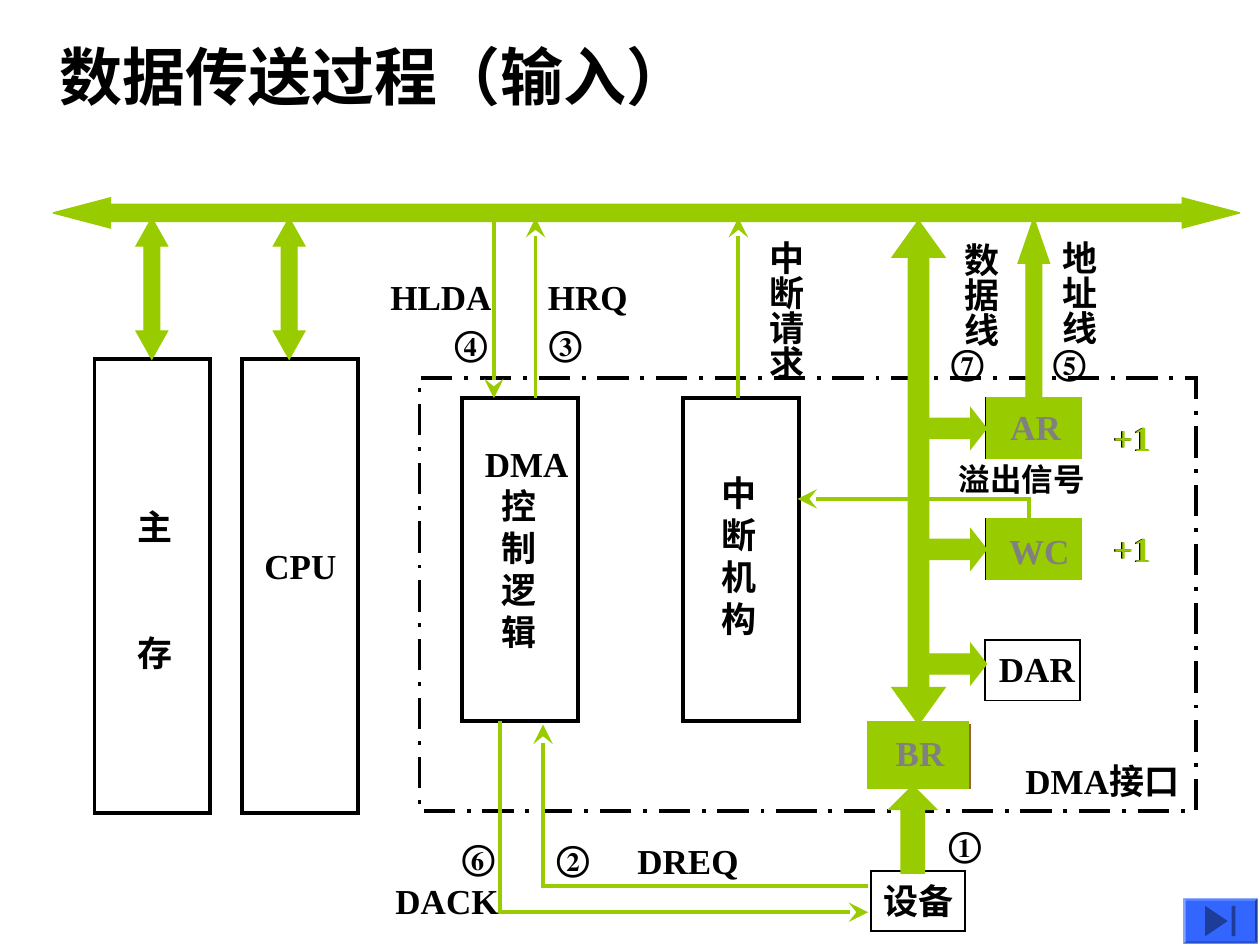
from lxml import etree
from pptx import Presentation
from pptx.dml.color import RGBColor
from pptx.enum import dml, shapes, text
from pptx.oxml import ns
from pptx.util import Inches, Pt

COLORS = {"ink": "000000", "bus": "99CC00", "muted": "808080",
          "shade": "996633", "button": "3366FF"}
FONT = "Times New Roman"
PRESET = shapes.MSO_SHAPE


def color(name):
    return RGBColor.from_string(COLORS[name])


class Diagram:
    """Style and current slide of a bus diagram; all lengths are in inches."""

    def __init__(self, slide):
        self.slide = slide

    def format_text(self, frame, size=20, ink="ink"):
        for paragraph in frame.paragraphs:
            for run in paragraph.runs:
                run.font.size = Pt(size)
                run.font.name = FONT
                run.font.bold = True
                run.font.color.rgb = color(ink)

    def title(self, words, left, top, width, height):
        shape = self.slide.shapes.title
        shape.left, shape.top = Inches(left), Inches(top)
        shape.width, shape.height = Inches(width), Inches(height)
        frame = shape.text_frame
        frame.text = words
        frame.vertical_anchor = text.MSO_ANCHOR.TOP
        frame.paragraphs[0].alignment = text.PP_ALIGN.LEFT
        self.format_text(frame, 36)

    def label(self, words, left, top, width, height=0.44, size=20, ink="ink"):
        """Text box without right inset, so that tight words stay on one line."""
        box = self.slide.shapes.add_textbox(
            Inches(left), Inches(top), Inches(width), Inches(height))
        frame = box.text_frame
        frame.text = words
        frame.word_wrap = True
        frame.auto_size = text.MSO_AUTO_SIZE.NONE
        frame.margin_right = 0
        self.format_text(frame, size, ink)
        return frame

    def vertical_label(self, words, left, top, height):
        frame = self.label(words, left, top, 0.53, height)
        frame.margin_left = frame.margin_right = Inches(0.05)
        frame.margin_top, frame.margin_bottom = Inches(0.05), 0
        box_properties = frame._txBody.find(ns.qn("a:bodyPr"))
        box_properties.set("vert", "eaVert")

    def style_line(self, shape, ink, weight):
        """Coloured line with sharp corners; returns its XML element."""
        shape.line.color.rgb = color(ink)
        shape.line.width = Pt(weight)
        line = shape.element.spPr.find(ns.qn("a:ln"))
        etree.SubElement(line, ns.qn("a:miter"), lim="800000")
        return line

    def shape(self, kind, left, top, width, height, fill=None, line=None,
              weight=0.75, adjust=()):
        shape = self.slide.shapes.add_shape(
            kind, Inches(left), Inches(top), Inches(width), Inches(height))
        shape.shadow.inherit = False
        for index, value in enumerate(adjust):
            shape.adjustments[index] = value
        if len(adjust) > 1:  # the library names both guides of some arrows adj1
            guides = shape.element.spPr.iter(ns.qn("a:gd"))
            for number, guide in enumerate(guides, 1):
                guide.set("name", f"adj{number}")
        if fill:
            shape.fill.solid()
            shape.fill.fore_color.rgb = color(fill)
        else:
            shape.fill.background()
        if line:
            self.style_line(shape, line, weight)
        else:
            shape.line.fill.background()
        return shape

    def outline(self, left, top, width, height, weight=2.25):
        return self.shape(PRESET.RECTANGLE, left, top, width, height,
                          line="ink", weight=weight)

    def block(self, kind, left, top, width, height, adjust=(), weight=0.75):
        """Solid shape in the bus colour."""
        self.shape(kind, left, top, width, height, "bus", "bus", weight, adjust)

    def finish_signal(self, shape):
        """Give a signal line its colour, weight and arrowhead."""
        line = self.style_line(shape, "bus", 2.25)
        etree.SubElement(line, ns.qn("a:tailEnd"), type="stealth", w="lg", len="lg")

    def signal(self, x, start, end):
        line = self.slide.shapes.add_connector(
            shapes.MSO_CONNECTOR.STRAIGHT,
            Inches(x), Inches(start), Inches(x), Inches(end))
        self.finish_signal(line)
        etree.SubElement(line.element.spPr, ns.qn("a:effectLst"))

    def bent_signal(self, *points):
        start, *rest = [(Inches(x), Inches(y)) for x, y in points]
        builder = self.slide.shapes.build_freeform(*start)
        builder.add_line_segments(rest, close=False)
        shape = builder.convert_to_shape()
        shape.shadow.inherit = False
        shape.fill.background()
        self.finish_signal(shape)


def draw_units(diagram):
    diagram.label("设备", 6.91, 6.93, 0.75)
    diagram.outline(6.91, 6.91, 0.75, 0.48, 1)

    logic = diagram.label("DMA\n控\n制\n逻\n辑", 3.75, 3.46, 0.86, 1.77)
    for paragraph in logic.paragraphs[1:]:
        paragraph._p.get_or_add_pPr().set("marL", str(Inches(0.13)))
    diagram.label("中\n断\n机\n构", 5.63, 3.69, 0.48, 1.44)
    for left in (3.67, 5.42):
        diagram.outline(left, 3.16, 0.92, 2.56)

    for top, weight in ((3.16, 0.75), (4.12, 0.75), (5.08, 1)):
        diagram.outline(7.82, top, 0.75, 0.48, weight)
    diagram.label("DAR", 7.83, 5.09, 0.8)

    interface = diagram.outline(3.33, 3, 6.16, 3.44)
    interface.line.dash_style = dml.MSO_LINE.LONG_DASH_DOT
    diagram.label("DMA接口", 8.04, 5.98, 1.49)

    memory = diagram.label("主\n存", 0.99, 3.96, 0.48, 1.44)
    memory.paragraphs[1].space_before = Pt(48)
    diagram.label("CPU", 2, 4.27, 0.77)
    for left in (0.75, 1.92):
        diagram.outline(left, 2.85, 0.92, 3.6)


def draw_buses(diagram):
    diagram.block(PRESET.LEFT_RIGHT_ARROW, 0.42, 1.57, 9.42, 0.24, (0.568, 1.9))
    for top in (3.24, 4.2, 5.11):
        diagram.block(PRESET.RIGHT_ARROW, 7.33, top, 0.5, 0.32, (0.5, 0.391))
    for left in (1.08, 2.17):
        diagram.block(PRESET.UP_DOWN_ARROW, left, 1.73, 0.25, 1.12, (0.5, 0.892))
    diagram.block(PRESET.UP_DOWN_ARROW, 7.08, 1.75, 0.42, 4, (0.383, 0.696))
    diagram.block(PRESET.UP_ARROW, 8.08, 1.73, 0.25, 1.44, (0.5, 1.439))
    diagram.block(PRESET.UP_ARROW, 7.08, 6.25, 0.33, 0.67, (0.5, 0.5), 2.25)


def draw_signals(diagram):
    diagram.bent_signal((6.89, 7.03), (4.31, 7.03), (4.31, 5.75))
    diagram.bent_signal((3.97, 5.72), (3.97, 7.24), (6.89, 7.24))
    diagram.bent_signal((8.17, 4.12), (8.17, 3.96), (6.33, 3.96))
    for x, start, end in ((4.25, 3.16, 1.73), (3.92, 1.73, 3.16),
                          (5.86, 3.16, 1.73)):
        diagram.signal(x, start, end)

    for name, left, top, width in (("DREQ", 4.96, 6.61, 1), ("HRQ", 4.25, 2.14, 0.83),
                                   ("HLDA", 3, 2.14, 1), ("DACK", 3.04, 6.93, 1.02)):
        diagram.label(name, left, top, width)
    diagram.label("溢出信号", 7.51, 3.6, 1.2, 0.4, 18)
    for name, left, top, height in (("地址线", 8.25, 1.81, 0.94),
                                    ("数据线", 7.47, 1.83, 0.94),
                                    ("中断请求", 5.92, 1.81, 1.22)):
        diagram.vertical_label(name, left, top, height)
    for step, left, top in (("①", 7.43, 6.48), ("②", 4.32, 6.59), ("③", 4.26, 2.5),
                            ("④", 3.51, 2.5), ("⑤", 8.26, 2.65), ("⑥", 3.57, 6.58),
                            ("⑦", 7.45, 2.65)):
        diagram.label(step, left, top, 0.46)


def draw_active_registers(diagram):
    for name, left, top, width, block_top, count_top in (
            ("AR", 7.92, 3.17, 0.6, 3.16, 3.26), ("WC", 7.91, 4.15, 0.68, 4.12, 4.14)):
        diagram.block(PRESET.RECTANGLE, 7.83, block_top, 0.75, 0.48)
        diagram.label(name, left, top, width, ink="muted")
        for count_left, ink in ((8.73, "ink"), (8.74, "bus")):
            diagram.label("+1", count_left, count_top, 0.5, ink=ink)

    diagram.shape(PRESET.RECTANGLE, 6.91, 5.75, 0.79, 0.51, "shade", "shade")
    diagram.block(PRESET.RECTANGLE, 6.91, 5.75, 0.75, 0.48, weight=4.5)
    diagram.label("BR", 7.01, 5.76, 0.58, ink="muted")


def draw_end_button(diagram):
    diagram.shape(PRESET.BEVEL, 9.39, 7.13, 0.59, 0.36, "button", adjust=(0.06,))
    diagram.shape(PRESET.ACTION_BUTTON_END, 9.41, 7.15, 0.55, 0.32, "button")


def main():
    presentation = Presentation()
    presentation.slide_width, presentation.slide_height = Inches(10), Inches(7.5)
    diagram = Diagram(presentation.slides.add_slide(presentation.slide_layouts[5]))
    diagram.title("数据传送过程（输入）", 0.37, 0.25, 6.71, 0.7)
    draw_units(diagram)
    draw_buses(diagram)
    draw_signals(diagram)
    draw_active_registers(diagram)
    draw_end_button(diagram)
    presentation.save("out.pptx")


if __name__ == "__main__":
    main()
